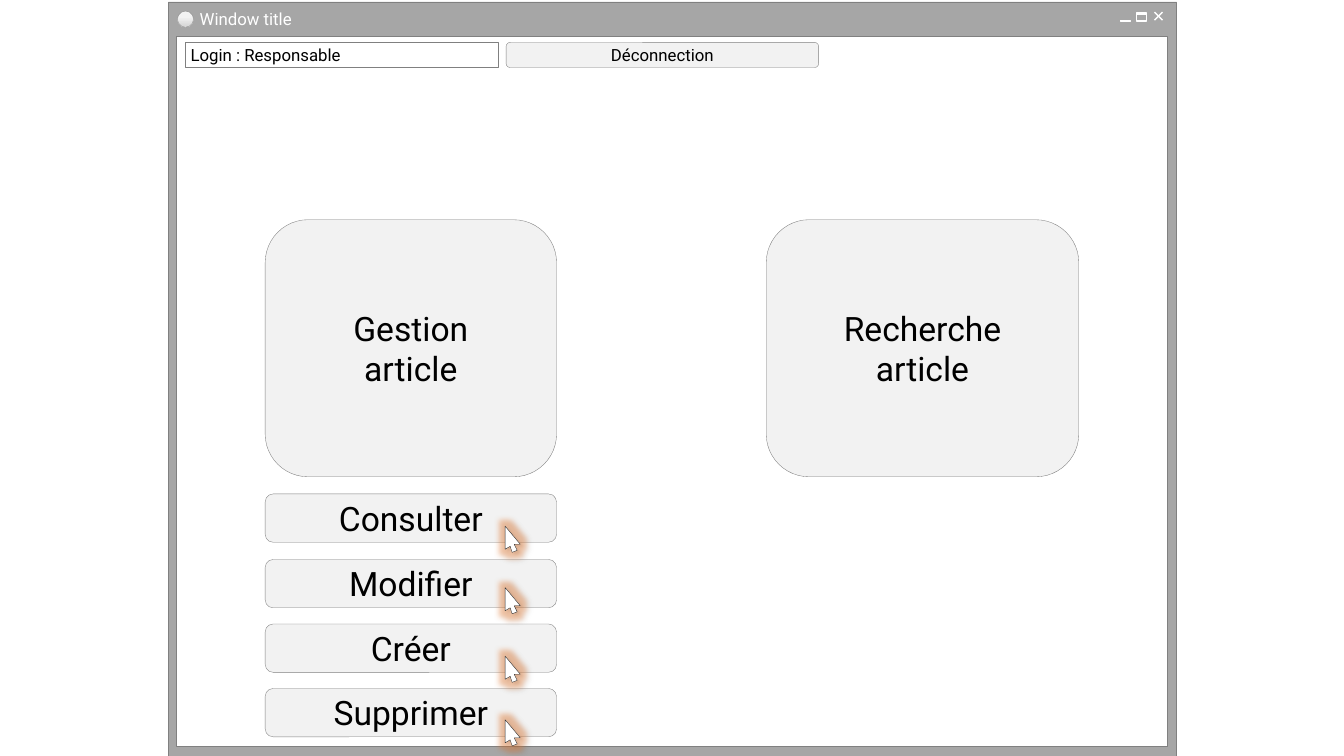
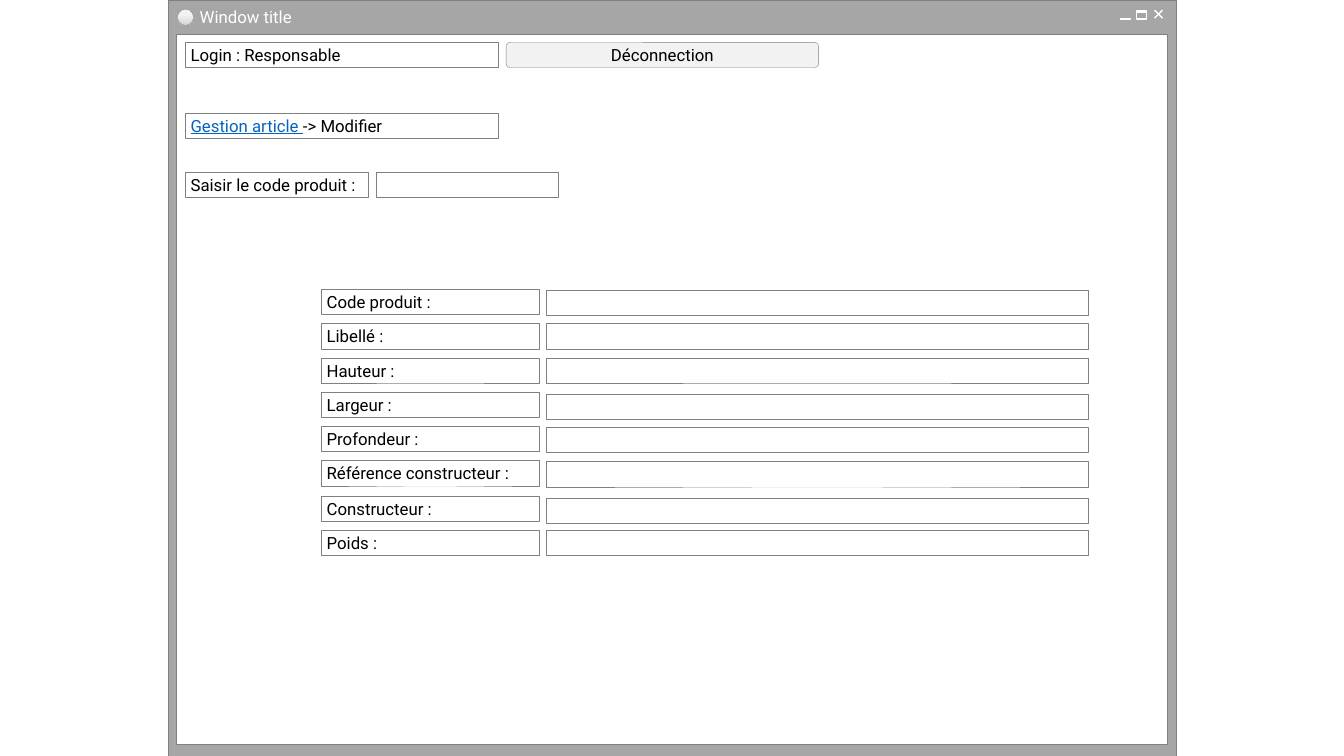
from copy import deepcopy

from lxml import etree
from pptx import Presentation
from pptx.dml.color import RGBColor
from pptx.enum.shapes import MSO_CONNECTOR, MSO_SHAPE
from pptx.enum.text import MSO_ANCHOR, PP_ALIGN
from pptx.oxml import parse_xml
from pptx.oxml.ns import nsdecls, qn
from pptx.util import Inches, Pt

RECT = MSO_SHAPE.RECTANGLE
ROUND = MSO_SHAPE.ROUNDED_RECTANGLE
OVAL = MSO_SHAPE.OVAL
LINE = MSO_CONNECTOR.STRAIGHT
MIDDLE = MSO_ANCHOR.MIDDLE
LEFT, CENTER = PP_ALIGN.LEFT, PP_ALIGN.CENTER

FONT = "Roboto"
BLACK, WHITE, LINK = "000000", "FFFFFF", "0563C1"
FRAME, EDGE, PALE, SHADE = "A6A6A6", "808080", "F2F2F2", "D9D9D9"
DASH, INK, GLOW = "919191", "262626", "ED7D31"

LEFT_X, ROW_H, GAP = 1.84, 0.25, 0.08
LABEL_PAD = (0.05, 0.02, 0.05, 0.02)
BUTTON_PAD = (0.1, 0, 0.1, 0.01)

# label, top of button, tip of pointer
ACTIONS = [("Consulter", 4.9, 5.22), ("Modifier", 5.55, 5.83),
           ("Créer", 6.19, 6.51), ("Supprimer", 6.83, 7.14)]
# label, top of label, top of entry
FIELDS = [("Code produit :", 2.87, 2.88), ("Libellé :", 3.21, 3.21),
          ("Hauteur :", 3.55, 3.55), ("Largeur :", 3.89, 3.91),
          ("Profondeur :", 4.23, 4.24),
          ("Référence constructeur :", 4.57, 4.58),
          ("Constructeur :", 4.92, 4.94), ("Poids :", 5.26, 5.26)]
ARROW = [(0, 0.23), (0, 0), (0.15, 0.18), (0.09, 0.18),
         (0.12, 0.24), (0.07, 0.26), (0.05, 0.2)]


def color(code):
    return RGBColor.from_string(code)


def paint(shape, fill, line, width=0.25):
    shape.shadow.inherit = False
    if fill:
        shape.fill.solid()
        shape.fill.fore_color.rgb = color(fill)
    else:
        shape.fill.background()
    shape.line.color.rgb = color(line)
    shape.line.width = Pt(width)


def add_box(shapes, kind, box, fill=WHITE, line=EDGE, width=0.25):
    shape = shapes.add_shape(kind, *[Inches(v) for v in box])
    paint(shape, fill, line, width)
    return shape


def write(shape, lines, size, pad, align=LEFT, ink=BLACK, wrap=False):
    frame = shape.text_frame
    frame.word_wrap = wrap
    frame.vertical_anchor = MIDDLE
    (frame.margin_left, frame.margin_top,
     frame.margin_right, frame.margin_bottom) = [Inches(v) for v in pad]
    frame.text = "\n".join(lines)
    for par in frame.paragraphs:
        par.alignment = align
        par.font.name = FONT
        par.font.size = Pt(size)
        par.font.color.rgb = color(ink)


def add_label(shapes, x, y, w, text):
    shape = add_box(shapes, RECT, (x, y, w, ROW_H))
    write(shape, [text], 12, LABEL_PAD)
    return shape


def add_entry(shapes, x, y, w):
    add_box(shapes, RECT, (x, y, w, ROW_H))


def add_button(shapes, box, lines, size=24):
    shape = add_box(shapes, ROUND, box, PALE)
    write(shape, lines, size, BUTTON_PAD, CENTER, wrap=True)


def add_orb(shapes, box):
    """Round window icon with a three-stop gradient."""
    orb = add_box(shapes, OVAL, box)
    orb.fill.gradient()
    orb.fill.gradient_angle = 270
    stops = orb._element.spPr.find(qn("a:gradFill")).find(qn("a:gsLst"))
    stops.append(deepcopy(stops[-1]))
    for stop, (pos, code) in zip(orb.fill.gradient_stops,
                                 [(0.36, PALE), (0.91, SHADE), (1, PALE)]):
        stop.position = pos
        stop.color.rgb = color(code)


def add_cross(shapes, x, y, side):
    for top, end in ((y, y + side), (y + side, y)):
        line = shapes.add_connector(LINE, Inches(x), Inches(top),
                                    Inches(x + side), Inches(end))
        line.line.color.rgb = color(WHITE)
        line.line.width = Pt(1)
        etree.SubElement(line._element.spPr, qn("a:effectLst"))


def add_window(slide, top):
    """Window frame with title bar and controls; top is its upper edge."""
    shapes = slide.shapes.add_group_shape().shapes
    x = 1.67
    add_box(shapes, RECT, (x, top, 10, 7.5), FRAME)
    add_box(shapes, RECT, (x + 0.08, top + 0.34, 9.83, 7.04))
    title = shapes.add_textbox(Inches(x + 0.26), Inches(top + 0.05),
                               Inches(1.09), Inches(0.25))
    write(title, ["Window title"], 12, (0.05, 0.02, 0.1, 0.03), ink=WHITE)
    add_cross(shapes, x + 9.78, top + 0.1, 0.08)
    for dx, dy in ((9.6, 0.11), (9.44, 0.18)):
        add_box(shapes, RECT, (x + dx, top + dy, 0.1, 0.01), DASH, WHITE)
    add_box(shapes, RECT, (x + 9.6, top + 0.11, 0.1, 0.08), None, WHITE, 1)
    add_orb(shapes, (x + 0.09, top + 0.09, 0.16, 0.16))


def add_login(shapes):
    width = 3.1
    add_label(shapes, LEFT_X, 0.42, width, "Login : Responsable")
    add_button(shapes, (LEFT_X + width + GAP, 0.42, width, ROW_H),
               ["Déconnection"], 12)


def add_pointer(shapes, x, y):
    """Glowing mouse pointer with its tip at x, y."""
    spots = [(Inches(x + dx), Inches(y + dy)) for dx, dy in ARROW]
    path = shapes.build_freeform(*spots[0])
    path.add_line_segments(spots[1:], close=True)
    arrow = path.convert_to_shape()
    paint(arrow, WHITE, INK)
    effects = arrow._element.spPr.find(qn("a:effectLst"))
    for tag, attrs, code, alpha in (
            ("glow", f'rad="{Pt(8)}"', GLOW, 40),
            ("outerShdw", f'blurRad="{Pt(2)}" dist="{Pt(2)}" dir="2040000"',
             BLACK, 20)):
        effects.append(parse_xml(
            f'<a:{tag} {nsdecls("a")} {attrs}><a:srgbClr val="{code}">'
            f'<a:alpha val="{alpha * 1000}"/></a:srgbClr></a:{tag}>'))


def add_menu(shapes, x, y, w):
    """Two large tiles, with the action buttons under the first."""
    add_button(shapes, (x, y, w, 2.55), ["Gestion", "article"])
    add_button(shapes, (x + 4.97, y, 3.1, 2.55), ["Recherche", "article"])
    for text, top, _ in ACTIONS:
        add_button(shapes, (x, top, w, 0.48), [text])
    for _, _, tip in ACTIONS:
        add_pointer(shapes, x + 2.38, tip)


def add_trail(shapes, y):
    trail = add_label(shapes, LEFT_X, y, 3.1, "Gestion article ")
    par = trail.text_frame.paragraphs[0]
    link = par.runs[0].font
    link.underline = True
    link.color.rgb = color(LINK)
    par.add_run().text = "-> Modifier"


def add_search(shapes, y):
    width = 1.81
    add_label(shapes, LEFT_X, y, width, "Saisir le code produit :")
    add_entry(shapes, LEFT_X + width + GAP, y, width)


def add_form(shapes, x):
    width = 2.16
    for text, top, entry in FIELDS:
        add_label(shapes, x, top, width, text)
        add_entry(shapes, x + width + 0.07, entry, 5.37)


def add_screen(deck, top):
    slide = deck.slides.add_slide(deck.slide_layouts[6])
    add_window(slide, top)
    add_login(slide.shapes)
    return slide.shapes


def main():
    deck = Presentation()
    deck.slide_width, deck.slide_height = Inches(13.33), Inches(7.5)
    home = add_screen(deck, 0.02)
    add_menu(home, 2.63, 2.18, 2.89)
    edit = add_screen(deck, 0)
    add_trail(edit, 1.12)
    add_search(edit, 1.71)
    add_form(edit, 3.19)
    deck.save("out.pptx")


if __name__ == "__main__":
    main()
